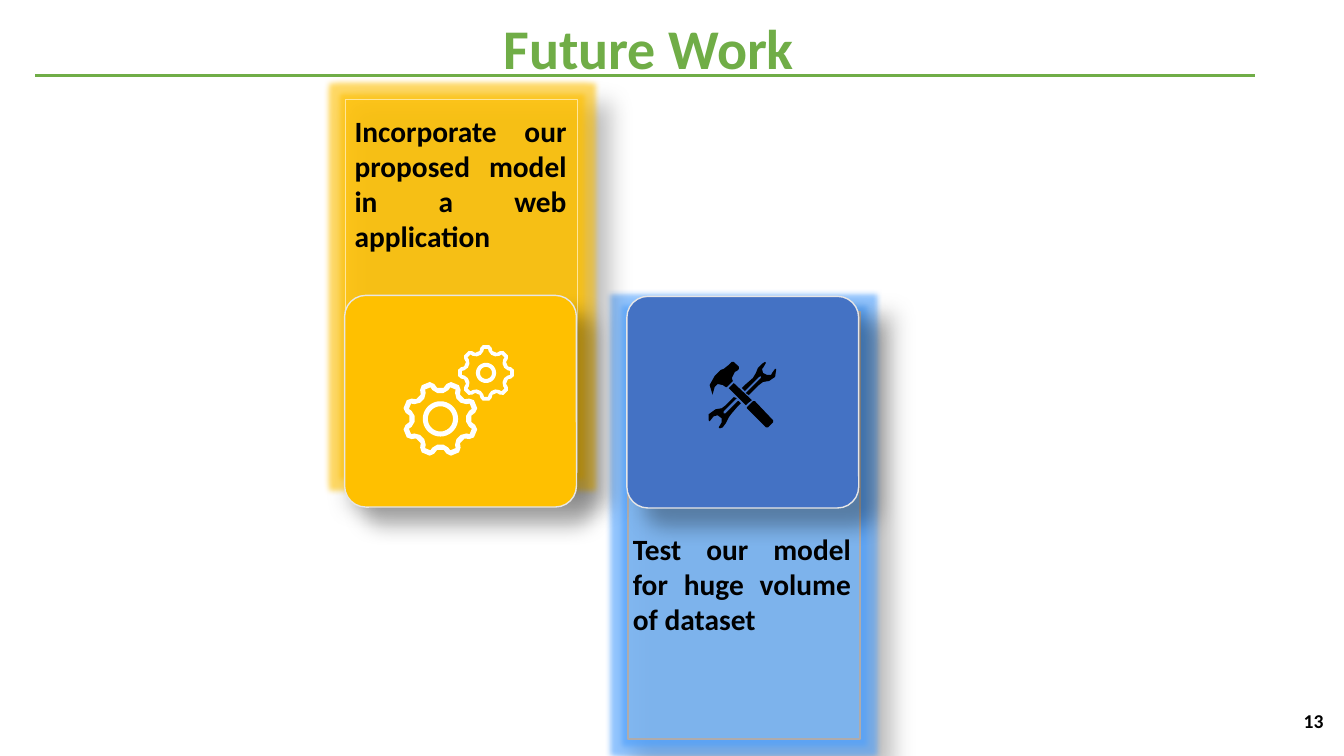
from math import cos, radians, sin

from lxml import etree
from pptx import Presentation
from pptx.dml.color import RGBColor
from pptx.enum.shapes import MSO_CONNECTOR, MSO_SHAPE
from pptx.enum.text import MSO_ANCHOR, MSO_AUTO_SIZE, PP_ALIGN
from pptx.oxml.ns import qn
from pptx.util import Pt

RECT, ROUNDED = MSO_SHAPE.RECTANGLE, MSO_SHAPE.ROUNDED_RECTANGLE
STRAIGHT = MSO_CONNECTOR.STRAIGHT
CENTER, RIGHT, JUSTIFY = PP_ALIGN.CENTER, PP_ALIGN.RIGHT, PP_ALIGN.JUSTIFY
TOP, MIDDLE = MSO_ANCHOR.TOP, MSO_ANCHOR.MIDDLE
NO_FIT = MSO_AUTO_SIZE.NONE

GREEN, BLACK, WHITE, AMBER, BLUE = "70AD47", "000000", "FFFFFF", "FFC000", "4472C4"
TITLE_ONLY = 5
CARD_WIDTH, CARD_HEIGHT = 165.6, 151.2
FINE = 100  # outline units per point

# Half a gear tooth: (distance from centre, degrees from the tooth's axis)
TOOTH_OUTSIDE = [(22.3, 16.5), (25.2, 12.5), (27.4, 6.5)]
TOOTH_INSIDE = [(18.5, 16), (21.3, 7), (23.6, 5)]
TEETH = 8

# Crossed tools, in steps of 0.72 pt from the icon's corner
TOOL_STEP = 0.72
TOOLS_CORNER = (506.16, 257.76)
HAMMER_HEAD = [(4, 34), (1, 24), (6, 15), (12, 9), (15, 8), (20, 4), (21, 3), (23, 1), (25, 1),
               (30, 6), (30, 8), (28, 10), (26, 11), (23, 17), (24, 20), (18, 26), (17, 26),
               (14, 24), (9, 23), (6, 26), (4, 33)]
HAMMER_NECK = [(33, 40), (22, 29), (20, 27), (25, 22), (43, 39), (39, 42), (37, 44)]
HAMMER_GRIP = [(51, 60), (40, 49), (38, 47), (38, 46), (44, 40), (46, 40), (64, 59), (64, 61),
               (59, 66), (57, 66)]
WRENCH_LOWER = [(32, 42), (29, 45), (23, 52), (20, 56), (17, 62), (14, 66), (11, 67), (10, 66),
                (13, 61), (13, 57), (9, 54), (5, 55), (1, 60), (0, 59), (0, 53), (7, 48),
                (13, 47), (17, 44), (25, 36), (28, 37), (27, 38), (15, 50), (15, 52), (17, 52),
                (29, 40), (30, 40)]
WRENCH_UPPER = [(67, 9), (67, 8), (66, 8), (63, 12), (62, 14), (58, 14), (54, 12), (53, 8),
                (54, 7), (57, 2), (56, 1), (53, 3), (49, 7), (47, 12), (44, 17), (36, 24),
                (33, 27), (36, 30), (50, 16), (52, 15), (52, 17), (42, 27), (37, 32), (40, 34),
                (50, 24), (54, 21), (60, 20), (66, 16)]


def color(hex_code):
    return RGBColor.from_string(hex_code)


def add_effect(effects, tag, hex_code, opacity, **lengths):
    effect = etree.SubElement(effects, qn(f"a:{tag}"))
    for key, value in lengths.items():
        effect.set(key, str(int(value)))
    tint = etree.SubElement(effect, qn("a:srgbClr"), val=hex_code)
    etree.SubElement(tint, qn("a:alpha"), val=str(opacity * 1000))


def circle(radius):
    return [(radius * cos(radians(a)), radius * sin(radians(a))) for a in range(0, 360, 10)]


def toothed(profile, turn, scale):
    """Mirror a half tooth and repeat it around the origin."""
    tooth = [(r, -a) for r, a in profile] + [(r, a) for r, a in reversed(profile)]
    polar = [(r * scale, radians(turn + 360 / TEETH * n + a)) for n in range(TEETH) for r, a in tooth]
    return [(r * cos(a), r * sin(a)) for r, a in polar]


class SlidePainter:
    def __init__(self, slide, font="Calibri"):
        self.slide, self.font = slide, font

    def set_words(self, shape, words, size, hex_code, align, anchor=TOP):
        frame = shape.text_frame
        frame.text = words
        settings = {"word_wrap": True, "auto_size": NO_FIT, "vertical_anchor": anchor}
        for key, value in settings.items():
            setattr(frame, key, value)
        paragraph = frame.paragraphs[0]
        paragraph.alignment = align
        font = paragraph.runs[0].font
        for key, value in {"name": self.font, "size": Pt(size), "bold": True}.items():
            setattr(font, key, value)
        font.color.rgb = color(hex_code)

    def title(self, words, left, top, width, height):
        heading = self.slide.shapes.title
        box = {"left": left, "top": top, "width": width, "height": height}
        for key, value in box.items():
            setattr(heading, key, Pt(value))
        self.set_words(heading, words, 40, GREEN, CENTER)

    def text(self, words, left, top, width, height, size=21, align=JUSTIFY, anchor=TOP):
        box = self.slide.shapes.add_textbox(Pt(left), Pt(top), Pt(width), Pt(height))
        self.set_words(box, words, size, BLACK, align, anchor)

    def panel(self, preset, left, top, height, fill, line, opacity=100, glow=None):
        panel = self.slide.shapes.add_shape(preset, Pt(left), Pt(top), Pt(CARD_WIDTH), Pt(height))
        panel.fill.solid()
        panel.fill.fore_color.rgb = color(fill)
        panel.line.color.rgb = color(line)
        panel.line.width = Pt(1)
        if preset == ROUNDED:
            panel.adjustments[0] = 0.1
        properties = panel._element.spPr
        if opacity < 100:
            tint = properties.find(qn("a:solidFill"))[0]
            etree.SubElement(tint, qn("a:alpha"), val=str(opacity * 1000))
        panel.shadow.inherit = False
        effects = properties.find(qn("a:effectLst"))
        if glow:
            add_effect(effects, "glow", glow, 60, rad=Pt(8))
        add_effect(effects, "outerShdw", BLACK, 30, blurRad=Pt(15), dist=Pt(18), dir=45 * 60000)

    def outline(self, contours, origin, fill, step=1):
        """Fill closed contours, given in steps from the origin; inner ones become holes."""
        placed = [[((origin[0] + x * step) * FINE, (origin[1] + y * step) * FINE)
                   for x, y in contour] for contour in contours]
        builder = self.slide.shapes.build_freeform(*placed[0][0], scale=Pt(1) / FINE)
        for index, contour in enumerate(placed):
            if index:
                builder.move_to(*contour[0])
            builder.add_line_segments(contour[1:], close=True)
        icon = builder.convert_to_shape()
        icon.fill.solid()
        icon.fill.fore_color.rgb = color(fill)
        icon.line.fill.background()
        icon.shadow.inherit = False

    def gear(self, center, scale, turn, hub, hole):
        rims = [toothed(profile, turn, scale) for profile in (TOOTH_OUTSIDE, TOOTH_INSIDE)]
        self.outline(rims, center, WHITE)
        self.outline([circle(hub), circle(hole)], center, WHITE)

    def rule(self, left, right, y):
        line = self.slide.shapes.add_connector(STRAIGHT, Pt(left), Pt(y), Pt(right), Pt(y))
        line.line.color.rgb = color(GREEN)
        line.line.width = Pt(2.25)
        etree.SubElement(line._element.spPr, qn("a:effectLst"))


def main():
    deck = Presentation()
    deck.slide_width, deck.slide_height = Pt(960), Pt(540)
    painter = SlidePainter(deck.slides.add_slide(deck.slide_layouts[TITLE_ONLY]))

    painter.title("Future Work", 2.9, 5.8, 920.9, 55.4)
    painter.panel(RECT, 448.6, 222.5, 305.3, "9DC3E6", "AFABAB", 51, glow="4CA0FF")
    painter.panel(RECT, 247, 71.3, 266.4, AMBER, "FFE699", 27, glow=AMBER)
    painter.panel(ROUNDED, 246.2, 211, CARD_HEIGHT, AMBER, "E7E6E6")
    painter.panel(ROUNDED, 447.8, 211.7, CARD_HEIGHT, BLUE, "E7E6E6")

    painter.gear((314.6, 299.2), 1, 22.5, hub=12.6, hole=9)
    painter.gear((347.2, 266.4), 0.73, 0, hub=7.2, hole=4.3)
    for part in (HAMMER_HEAD, WRENCH_LOWER, HAMMER_GRIP, HAMMER_NECK, WRENCH_UPPER):
        painter.outline([part], TOOLS_CORNER, BLACK, TOOL_STEP)

    painter.text("Test our model for huge volume of dataset", 445, 375.8, 169.9, 83.5)
    painter.text("Incorporate our proposed model in a web application", 246.2, 77, 165.6, 108.7)
    painter.rule(25.2, 896.4, 54)
    painter.text("13", 910, 500.4, 42.5, 28.8, size=14, align=RIGHT, anchor=MIDDLE)
    deck.save("out.pptx")


if __name__ == "__main__":
    main()
